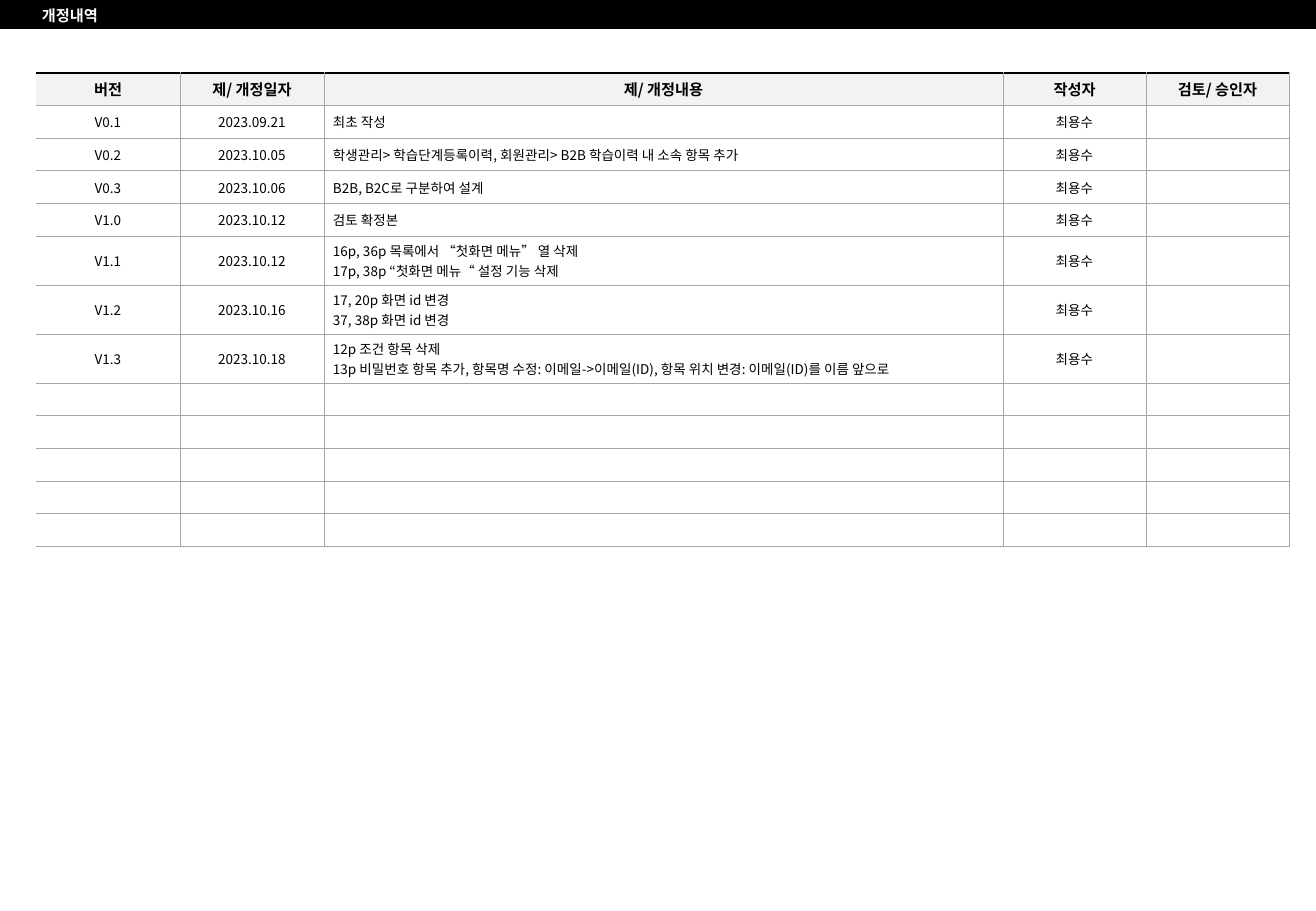
from lxml.etree import SubElement
from pptx import Presentation
from pptx.dml.color import RGBColor
from pptx.enum.shapes import MSO_SHAPE
from pptx.enum.text import MSO_ANCHOR, MSO_AUTO_SIZE, PP_ALIGN
from pptx.oxml import parse_xml
from pptx.oxml.ns import nsdecls, qn
from pptx.util import Pt

TITLE = "개정내역"
HEADINGS = ("버전", "제/ 개정일자", "제/ 개정내용", "작성자", "검토/ 승인자")
AUTHOR = "최용수"
REVISIONS = [
    ("V0.1", "2023.09.21", ["최초 작성"]),
    ("V0.2", "2023.10.05", ["학생관리> 학습단계등록이력, 회원관리> B2B 학습이력 내 소속 항목 추가"]),
    ("V0.3", "2023.10.06", ["B2B, B2C로 구분하여 설계"]),
    ("V1.0", "2023.10.12", ["검토 확정본"]),
    ("V1.1", "2023.10.12", ["16p, 36p 목록에서 “첫화면 메뉴” 열 삭제",
                            "17p, 38p “첫화면 메뉴“ 설정 기능 삭제"]),
    ("V1.2", "2023.10.16", ["17, 20p 화면 id 변경", "37, 38p 화면 id 변경"]),
    ("V1.3", "2023.10.18", ["12p 조건 항목 삭제",
                            "13p 비밀번호 항목 추가, 항목명 수정: 이메일->이메일(ID), "
                            "항목 위치 변경: 이메일(ID)를 이름 앞으로"]),
]
EMPTY_ROWS = 5
CONTENT_COLUMN = 2

FONT = "Noto Sans CJK KR"
BLACK = RGBColor(0x00, 0x00, 0x00)
WHITE = RGBColor(0xFF, 0xFF, 0xFF)
HEADING_GRAY = RGBColor(0xF2, 0xF2, 0xF2)
RULE_GRAY = RGBColor(0xA6, 0xA6, 0xA6)

SCALE = 914400 / 121.5
SLIDE_WIDTH, SLIDE_HEIGHT = 1316, 911
BAR_HEIGHT = 29
TABLE_LEFT, TABLE_TOP = 36, 73
COLUMN_WIDTHS = (144, 144, 679, 143, 143)
THREE_ROWS = 98
TWO_LINE_ROW = 49


def px(length):
    return round(length * SCALE)


def style_paragraph(paragraph, size, color, bold, align):
    paragraph.alignment = align
    font = paragraph.font
    font.name, font.size, font.bold = FONT, Pt(size), bold
    font.color.rgb = color
    defaults = paragraph._p.pPr.find(qn("a:defRPr"))
    SubElement(defaults, qn("a:ea")).set("typeface", FONT)
    if not paragraph.runs:
        SubElement(paragraph._p, qn("a:endParaRPr")).set("sz", str(size * 100))


def border(side, color, width):
    paint = f'<a:solidFill><a:srgbClr val="{color}"/></a:solidFill>' if color else "<a:noFill/>"
    return parse_xml(f'<a:ln{side} {nsdecls("a")} w="{Pt(width)}">{paint}</a:ln{side}>')


def fill_cell(cell, lines, row, column):
    heading = row == 0
    cell.text = "\n".join(lines)
    cell.vertical_anchor = MSO_ANCHOR.MIDDLE
    cell.margin_left = cell.margin_right = px(9)
    cell.margin_top = cell.margin_bottom = px(4)
    if heading:
        cell.fill.solid()
        cell.fill.fore_color.rgb = HEADING_GRAY
    else:
        cell.fill.background()
    left_aligned = column == CONTENT_COLUMN and not heading
    align = PP_ALIGN.LEFT if left_aligned else PP_ALIGN.CENTER
    for paragraph in cell.text_frame.paragraphs:
        style_paragraph(paragraph, 9 if heading else 8, BLACK, heading, align)
    borders = (
        ("L", RULE_GRAY if column else None, 0.5),
        ("R", RULE_GRAY, 0.5),
        ("T", BLACK if heading else RULE_GRAY, 1 if heading else 0.5),
        ("B", RULE_GRAY, 0.5),
    )
    properties = cell._tc.get_or_add_tcPr()
    for position, edge in enumerate(borders):
        properties.insert(position, border(*edge))


def add_title_bar(slide):
    bar = slide.shapes.add_shape(MSO_SHAPE.RECTANGLE, 0, 0, px(SLIDE_WIDTH), px(BAR_HEIGHT))
    bar.shadow.inherit = False
    bar.fill.solid()
    bar.fill.fore_color.rgb = BLACK
    bar.line.fill.background()


def add_revision_table(slide):
    rows = [[[heading] for heading in HEADINGS]]
    rows += [[[version], [date], changes, [AUTHOR], [""]] for version, date, changes in REVISIONS]
    rows += [[[""]] * len(HEADINGS)] * EMPTY_ROWS
    heights = [TWO_LINE_ROW if len(row[CONTENT_COLUMN]) > 1 else THREE_ROWS / 3 for row in rows]
    table = slide.shapes.add_table(
        len(rows), len(HEADINGS), px(TABLE_LEFT), px(TABLE_TOP),
        px(sum(COLUMN_WIDTHS)), px(sum(heights))).table
    table.first_row = table.horz_banding = False
    for column, width in zip(table.columns, COLUMN_WIDTHS):
        column.width = px(width)
    for r, (row, height) in enumerate(zip(rows, heights)):
        table.rows[r].height = px(height)
        for c, lines in enumerate(row):
            fill_cell(table.cell(r, c), lines, r, c)


def place_title(slide):
    title = slide.shapes.title
    title.left, title.top, title.width, title.height = px(27), px(-4), px(90), px(38)
    frame = title.text_frame
    frame.text = TITLE
    frame.word_wrap = False
    frame.auto_size = MSO_AUTO_SIZE.SHAPE_TO_FIT_TEXT
    frame.vertical_anchor = MSO_ANCHOR.MIDDLE
    frame.margin_left = frame.margin_right = px(15)
    frame.margin_top = frame.margin_bottom = px(10)
    style_paragraph(frame.paragraphs[0], 9, WHITE, True, PP_ALIGN.LEFT)
    slide.shapes._spTree.append(title._element)


def main():
    deck = Presentation()
    deck.slide_width, deck.slide_height = px(SLIDE_WIDTH), px(SLIDE_HEIGHT)
    slide = deck.slides.add_slide(deck.slide_layouts[5])
    add_title_bar(slide)
    add_revision_table(slide)
    place_title(slide)
    deck.save("out.pptx")


if __name__ == "__main__":
    main()
